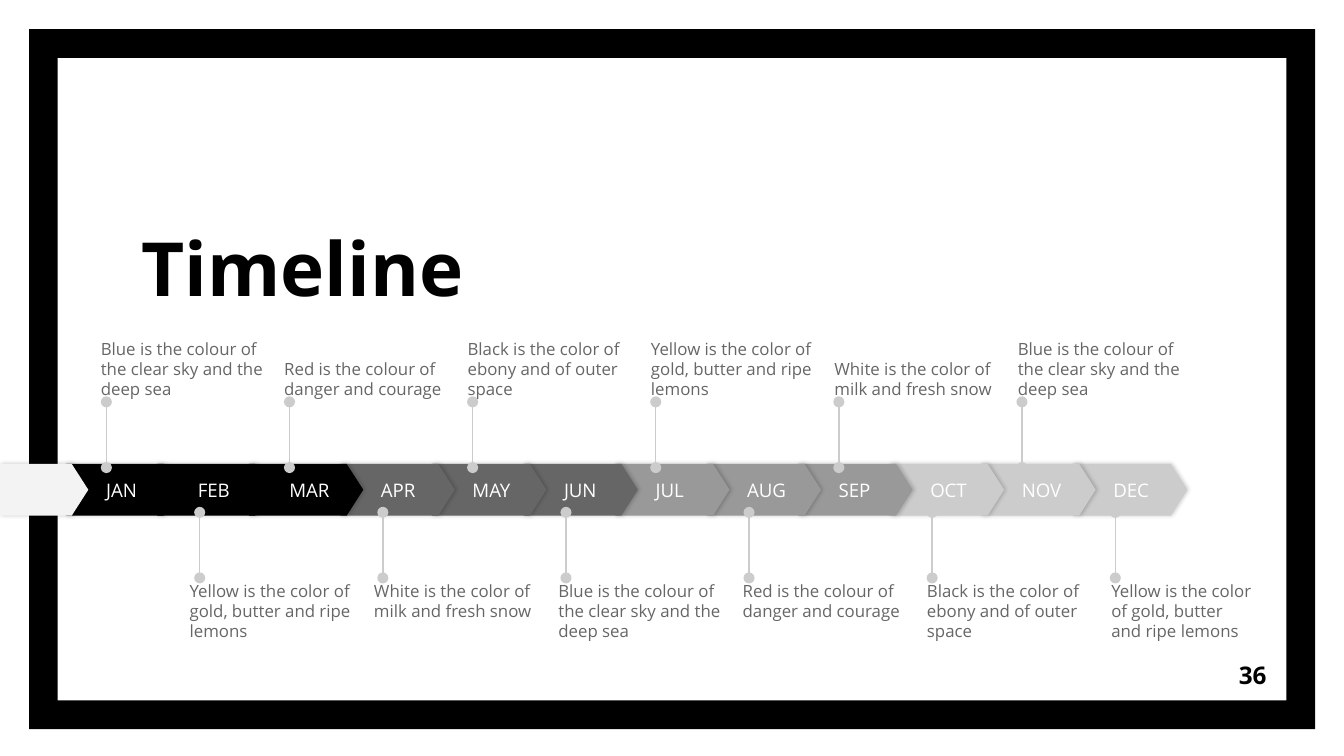
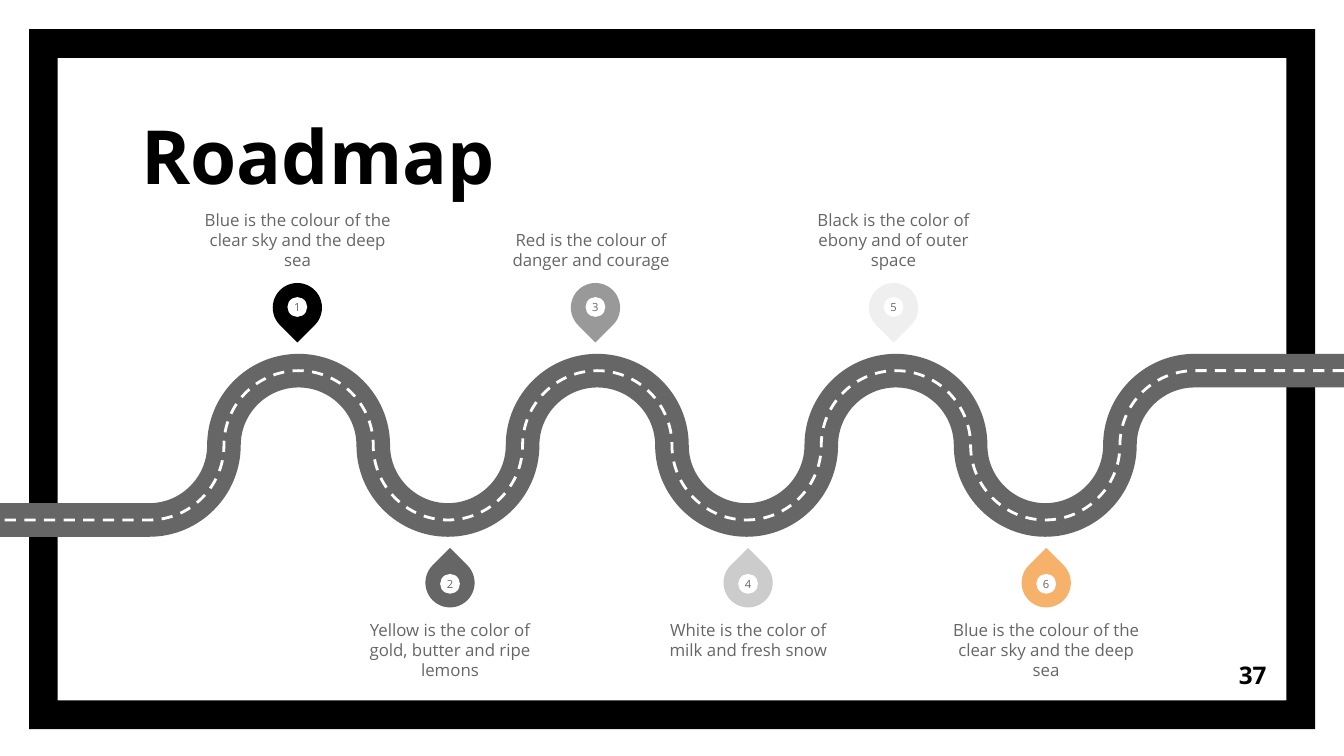
"""Build a monthly timeline slide and a winding roadmap slide."""
from math import cos, pi

from lxml import etree
from pptx import Presentation
from pptx.dml.color import RGBColor
from pptx.enum.dml import MSO_LINE
from pptx.enum.shapes import MSO_CONNECTOR, MSO_SHAPE
from pptx.enum.text import MSO_ANCHOR, PP_ALIGN
from pptx.oxml import parse_xml
from pptx.oxml.ns import nsdecls, qn
from pptx.util import Pt

FRAME, PENTAGON, TEARDROP, OVAL = (
    MSO_SHAPE.FRAME, MSO_SHAPE.PENTAGON, MSO_SHAPE.TEAR, MSO_SHAPE.OVAL)
TOP, MIDDLE, BOTTOM = MSO_ANCHOR.TOP, MSO_ANCHOR.MIDDLE, MSO_ANCHOR.BOTTOM
LEFT, CENTER, RIGHT = PP_ALIGN.LEFT, PP_ALIGN.CENTER, PP_ALIGN.RIGHT
STRAIGHT, DASH = MSO_CONNECTOR.STRAIGHT, MSO_LINE.DASH

FONT = "Open Sans"
BLACK, WHITE, DARK, MID, LIGHT = "000000", "FFFFFF", "666666", "999999", "CCCCCC"
SHADOW = (
    f'<a:outerShdw {nsdecls("a")} blurRad="27940" dist="10160" dir="0" algn="ctr" '
    'rotWithShape="0"><a:srgbClr val="000000"><a:alpha val="20000"/></a:srgbClr></a:outerShdw>')

BLUE_TEXT = "Blue is the colour of the clear sky and the deep sea"
RED_TEXT = "Red is the colour of danger and courage"
BLACK_TEXT = "Black is the color of ebony and of outer space"
YELLOW_TEXT = "Yellow is the color of gold, butter and ripe lemons"
WHITE_TEXT = "White is the color of milk and fresh snow"


def add_filled(slide, kind, left, top, width, height, colour):
    shape = slide.shapes.add_shape(kind, Pt(left), Pt(top), Pt(width), Pt(height))
    shape.shadow.inherit = False
    shape.fill.solid()
    shape.fill.fore_color.rgb = RGBColor.from_string(colour)
    shape.line.fill.background()
    return shape


def write(shape, text, size, colour, anchor=TOP, align=LEFT, bold=False,
          insets=(0, 0, 0, 0), spacing=1.0):
    frame = shape.text_frame
    frame.word_wrap = True
    frame.vertical_anchor = anchor
    frame.margin_left, frame.margin_top, frame.margin_right, frame.margin_bottom = map(Pt, insets)
    paragraph = frame.paragraphs[0]
    paragraph.alignment = align
    paragraph.line_spacing = spacing
    run = paragraph.add_run()
    run.text = text
    run.font.name = FONT
    run.font.size = Pt(size)
    run.font.bold = bold
    run.font.color.rgb = RGBColor.from_string(colour)


presentation = Presentation()
presentation.slide_width = Pt(720)
presentation.slide_height = Pt(405)

slides = []
for title, title_height, number in (("Timeline", 107.8, "36"), ("Roadmap", 47.5, "37")):
    slide = presentation.slides.add_slide(presentation.slide_layouts[6])
    border = add_filled(slide, FRAME, 15.6, 15.6, 689, 375, BLACK)
    border.adjustments[0] = 0.041
    title_box = slide.shapes.add_textbox(Pt(68.7), Pt(67), Pt(401), Pt(title_height))
    write(title_box, title, 40, BLACK, BOTTOM, bold=True, insets=(7.2,) * 4, spacing=0.9)
    number_box = slide.shapes.add_textbox(Pt(642.5), Pt(346), Pt(43), Pt(31))
    write(number_box, number, 13, BLACK, MIDDLE, RIGHT, True, (7.2,) * 4)
    slides.append(slide)
timeline, roadmap = slides

months = ["JAN", "FEB", "MAR", "APR", "MAY", "JUN", "JUL", "AUG", "SEP", "OCT", "NOV", "DEC"]
quarter_colours = [BLACK, DARK, MID, LIGHT]
MONTH_PITCH = 49.05
arrows = [(35.3 + MONTH_PITCH * index, 61.2, quarter_colours[index // 3], month)
          for index, month in enumerate(months)]
for left, width, colour, month in reversed([(0, 47.3, "F3F3F3", "")] + arrows):
    arrow = add_filled(timeline, PENTAGON, left, 248.6, width, 27.6, colour)
    arrow.adjustments[0] = 0.32
    arrow._element.spPr.find(qn("a:effectLst")).append(parse_xml(SHADOW))
    if month:
        write(arrow, month, 10, WHITE, MIDDLE, insets=(21.6, 0, 0, 0))

upper_notes = [BLUE_TEXT, RED_TEXT, BLACK_TEXT, YELLOW_TEXT, WHITE_TEXT, BLUE_TEXT]
lower_notes = [YELLOW_TEXT, WHITE_TEXT, BLUE_TEXT, RED_TEXT, BLACK_TEXT, YELLOW_TEXT]
for notes, line_left, line_start, line_end, note_left, note_pitch, note_top, anchor in (
        (upper_notes, 57, 250.5, 215.3, 54, 98.25, 176.4, BOTTOM),
        (lower_notes, 107, 309.6, 274.5, 101.6, 98.75, 311, TOP)):
    for index, note in enumerate(notes):
        x = Pt(line_left + 2 * MONTH_PITCH * index)
        stem = timeline.shapes.add_connector(STRAIGHT, x, Pt(line_start), x, Pt(line_end))
        stem.line.width = Pt(0.75)
        stem.line.color.rgb = RGBColor.from_string(LIGHT)
        properties = stem._element.spPr
        for end in ("a:headEnd", "a:tailEnd"):
            etree.SubElement(properties.find(qn("a:ln")), qn(end), type="oval")
        etree.SubElement(properties, qn("a:effectLst"))
        last_lower = anchor == TOP and index == len(notes) - 1
        note_box = timeline.shapes.add_textbox(
            Pt(note_left + note_pitch * index), Pt(note_top), Pt(77 if last_lower else 93), Pt(37.4))
        write(note_box, note, 9, DARK, anchor)

RADIUS, ROAD_TOP, CURVE = 40, 198.6, 0.55
bends = [(640 - RADIUS * turn, RADIUS - RADIUS * cos(pi * turn / 2)) for turn in range(15)]
road_points = [(Pt(x), Pt(ROAD_TOP + y)) for x, y in bends + [(0, 2 * RADIUS)]]
for colour, width, dash in ((DARK, 18, None), (WHITE, 1.5, DASH)):
    builder = roadmap.shapes.build_freeform(Pt(720), Pt(ROAD_TOP))
    builder.add_line_segments(road_points, close=False)
    road = builder.convert_to_shape()
    road.shadow.inherit = False
    road.fill.background()
    road.line.color.rgb = RGBColor.from_string(colour)
    road.line.width = Pt(width)
    road.line.dash_style = dash
    segments = list(road._element.spPr.iter(qn("a:lnTo")))[1:-1]
    for turn, segment in enumerate(segments):
        (x0, y0), (x1, y1) = bends[turn:turn + 2]
        if turn % 2 == 0:
            controls = [(x0 - CURVE * RADIUS, y0), (x1, y1 + CURVE * (y0 - y1))]
        else:
            controls = [(x0, y0 + CURVE * (y1 - y0)), (x1 + CURVE * RADIUS, y1)]
        segment.tag = qn("a:cubicBezTo")
        for position, (x, y) in enumerate(controls):
            point = etree.Element(qn("a:pt"), x=str(Pt(x)), y=str(Pt(y)))
            segment.insert(position, point)

PIN, DOT, CAPTION = 26.4, 10.6, 101.5
upper_stops = [("1", BLACK, 159.4, BLUE_TEXT), ("3", MID, 316.6, RED_TEXT),
               ("5", "EFEFEF", 478.6, BLACK_TEXT)]
lower_stops = [("2", DARK, 241, YELLOW_TEXT), ("4", LIGHT, 400.8, WHITE_TEXT),
               ("6", "F6B26B", 560.4, BLUE_TEXT)]
for stops, first_pin, pin_top, rotation, dot_top, caption_top, anchor in (
        (upper_stops, 159.3, 151.6, 135, 159.2, 103, BOTTOM),
        (lower_stops, 241.1, 299, 315, 307.5, 332, TOP)):
    for index, (number, colour, caption_center, caption) in enumerate(stops):
        center = first_pin + 159.7 * index
        pin = add_filled(roadmap, TEARDROP, center - PIN / 2, pin_top, PIN, PIN, colour)
        pin.adjustments[0] = 1
        pin.rotation = rotation
        dot = add_filled(roadmap, OVAL, center - DOT / 2, dot_top, DOT, DOT, WHITE)
        write(dot, number, 6, DARK, MIDDLE, CENTER)
        caption_box = roadmap.shapes.add_textbox(
            Pt(caption_center - CAPTION / 2), Pt(caption_top), Pt(CAPTION), Pt(41.8))
        write(caption_box, caption, 9, DARK, anchor, CENTER)

presentation.save("out.pptx")
